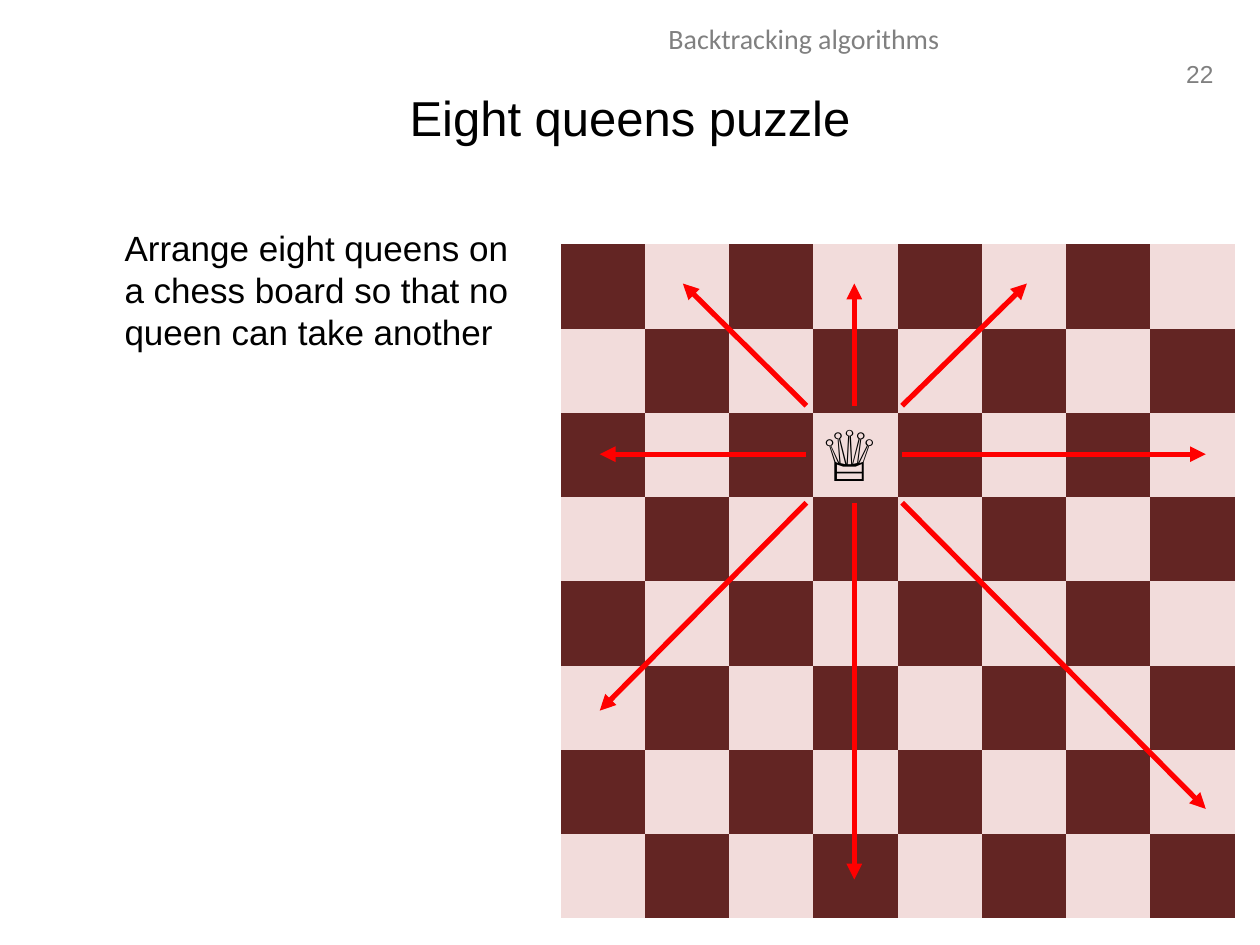
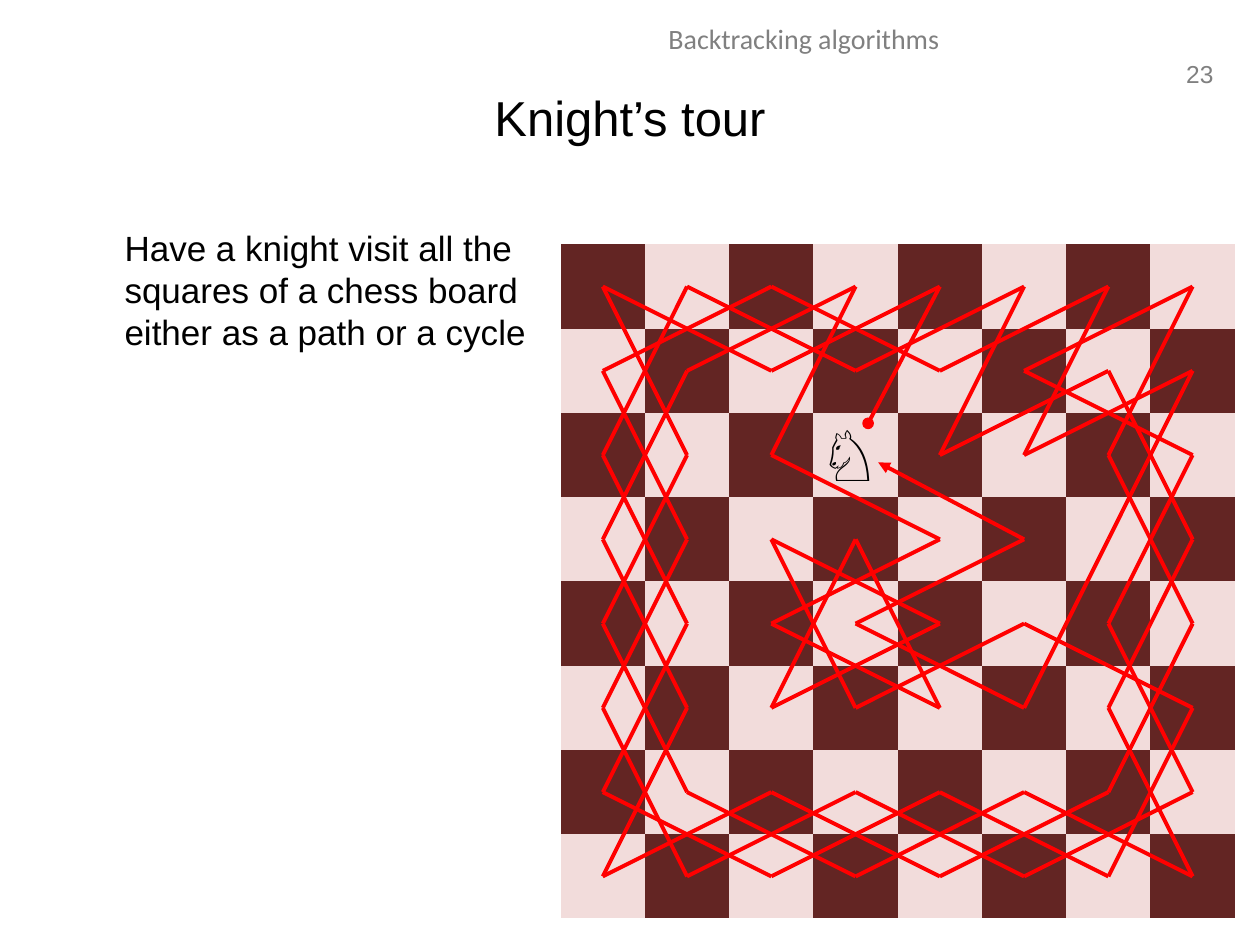
"""Build two slides about chess puzzles solved by backtracking."""
from itertools import pairwise

from pptx import Presentation
from pptx.dml.color import RGBColor
from pptx.enum.shapes import MSO_CONNECTOR as Connector
from pptx.enum.text import MSO_ANCHOR as Anchor, PP_ALIGN as Align
from pptx.oxml.ns import qn
from pptx.oxml.xmlchemy import OxmlElement
from pptx.util import Inches, Pt

DARK_SQUARE = RGBColor(0x63, 0x25, 0x23)
LIGHT_SQUARE = RGBColor(0xF2, 0xDC, 0xDB)
RED = RGBColor(0xFF, 0x00, 0x00)
GRAY = RGBColor(0x80, 0x80, 0x80)
BLACK = RGBColor(0x00, 0x00, 0x00)
PLAIN_TABLE = "{2D5ABB26-0587-4C30-8999-92F81FD0307C}"

HEADER = "Backtracking algorithms"
QUEENS = {
    "number": 22,
    "title": "Eight queens puzzle",
    "body": "Arrange eight queens on\va chess board so that no\vqueen can take another",
    "piece": "♕",
}
KNIGHT = {
    "number": 23,
    "title": "Knight’s tour",
    "body": "Have a knight visit all the\vsquares of a chess board\veither as a path or a cycle",
    "piece": "♘",
}

# Each square is written as column then row, counted from the top left.
TOUR = (
    "32 40 21 00 12 04 16 37 56 77 65 73 61 42 50 31 10 02 14 06 27 46 "
    "67 75 54 35 23 44 25 33 45 24 43 22 30 11 03 15 07 26 47 66 74 62 "
    "70 51 72 64 76 57 36 17 05 13 01 20 41 60 52 71 63 55 34 53 32"
).split()
TOUR_START, TOUR_END = (6.89, 3.36), (6.97, 3.67)

BOARD_LEFT, BOARD_TOP, BOARD_SIZE, SQUARES = 4.45, 1.94, 5.35, 8
SQUARE = BOARD_SIZE / SQUARES
PIECE_LEFT, PIECE_TOP, PIECE_WIDTH, PIECE_HEIGHT = 6.4, 3.22, 0.76, 0.77
PIECE_X, PIECE_Y = PIECE_LEFT + PIECE_WIDTH / 2, PIECE_TOP + PIECE_HEIGHT / 2

QUEEN_MOVES = [
    ((1, 0), (9.57, PIECE_Y)),
    ((1, -1), (8.15, 2.25)),
    ((1, 1), (9.57, 6.42)),
    ((0, 1), (PIECE_X, 6.98)),
    ((-1, 1), (4.76, 5.64)),
    ((-1, 0), (4.76, PIECE_Y)),
    ((0, -1), (PIECE_X, 2.25)),
    ((-1, -1), (5.42, 2.25)),
]
PIECE_SIDES = {(0, -1): 0, (-1, 0): 1, (0, 1): 2, (1, 0): 3}


def add_text(page, text, place, size, color=BLACK, font="Arial",
             align=Align.LEFT, anchor=Anchor.TOP, wrap=True, indent=0):
    box = page.shapes.add_textbox(*map(Inches, place))
    frame = box.text_frame
    frame.word_wrap = wrap
    frame.vertical_anchor = anchor
    para = frame.paragraphs[0]
    para.text = text
    para.alignment = align
    if indent:
        para._p.get_or_add_pPr().set("marL", str(Inches(indent)))
    para.font.size = Pt(size)
    para.font.name = font
    para.font.color.rgb = color
    return box


def add_line(page, start, end, width, tip=None):
    line = page.shapes.add_connector(
        Connector.STRAIGHT, *map(Inches, (*start, *end)))
    line.line.color.rgb = RED
    line.line.width = Pt(width)
    if tip:
        arrowhead = OxmlElement("a:tailEnd")
        arrowhead.set("type", tip)
        line.line._get_or_add_ln().append(arrowhead)
    line._element.spPr.append(OxmlElement("a:effectLst"))
    return line


def add_board(page):
    table = page.shapes.add_table(
        SQUARES, SQUARES, *map(Inches, (BOARD_LEFT, BOARD_TOP, BOARD_SIZE, BOARD_SIZE))).table
    table.first_row = table.horz_banding = False
    table._tbl.tblPr.find(qn("a:tableStyleId")).text = PLAIN_TABLE
    for row in range(SQUARES):
        for column in range(SQUARES):
            fill = table.cell(row, column).fill
            fill.solid()
            fill.fore_color.rgb = LIGHT_SQUARE if (row + column) % 2 else DARK_SQUARE


def add_puzzle(deck, puzzle):
    page = deck.slides.add_slide(deck.slide_layouts[6])
    add_text(page, str(puzzle["number"]), (9.29, 0.42, 0.44, 0.33), 14, GRAY,
             align=Align.RIGHT, wrap=False)
    add_text(page, HEADER, (3.19, 0.12, 6.38, 0.4), 16, GRAY, "Calibri", Align.CENTER)
    add_text(page, puzzle["title"], (0.5, 0.3, 9, 1.25), 28,
             align=Align.CENTER, anchor=Anchor.MIDDLE)
    add_text(page, puzzle["body"], (0.5, 1.75, 9, 4.95), 20, indent=0.39)
    add_board(page)
    piece = add_text(page, puzzle["piece"],
                     (PIECE_LEFT, PIECE_TOP, PIECE_WIDTH, PIECE_HEIGHT), 40, wrap=False)
    return page, piece


def add_queen_moves(page, queen):
    for (across, down), end in QUEEN_MOVES:
        start = (PIECE_X + across * PIECE_WIDTH / 2, PIECE_Y + down * PIECE_HEIGHT / 2)
        arrow = add_line(page, start, end, 3, "triangle")
        if (across, down) in PIECE_SIDES:
            arrow.begin_connect(queen, PIECE_SIDES[across, down])


def square_center(square):
    column, row = map(int, square)
    return BOARD_LEFT + (column + 0.5) * SQUARE, BOARD_TOP + (row + 0.5) * SQUARE


def add_tour(page):
    stops = [TOUR_START, *map(square_center, TOUR[1:-1]), TOUR_END]
    first, *middle, last = pairwise(stops)
    add_line(page, first[1], first[0], 2.25, "oval")
    for start, end in middle:
        add_line(page, start, end, 2.25)
    add_line(page, *last, 2.25, "triangle")


def main():
    deck = Presentation()
    deck.slide_width, deck.slide_height = Inches(10), Inches(7.5)
    add_queen_moves(*add_puzzle(deck, QUEENS))
    page, _ = add_puzzle(deck, KNIGHT)
    add_tour(page)
    deck.save("out.pptx")


if __name__ == "__main__":
    main()
